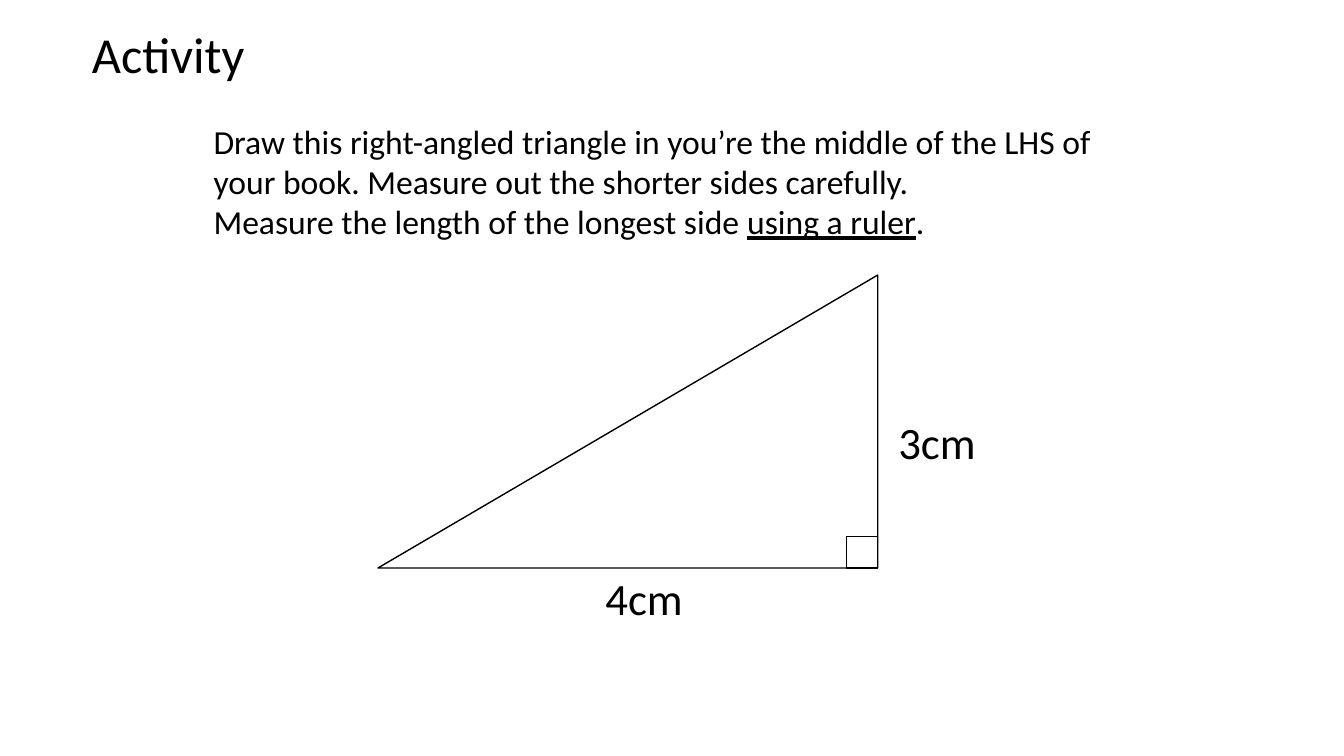
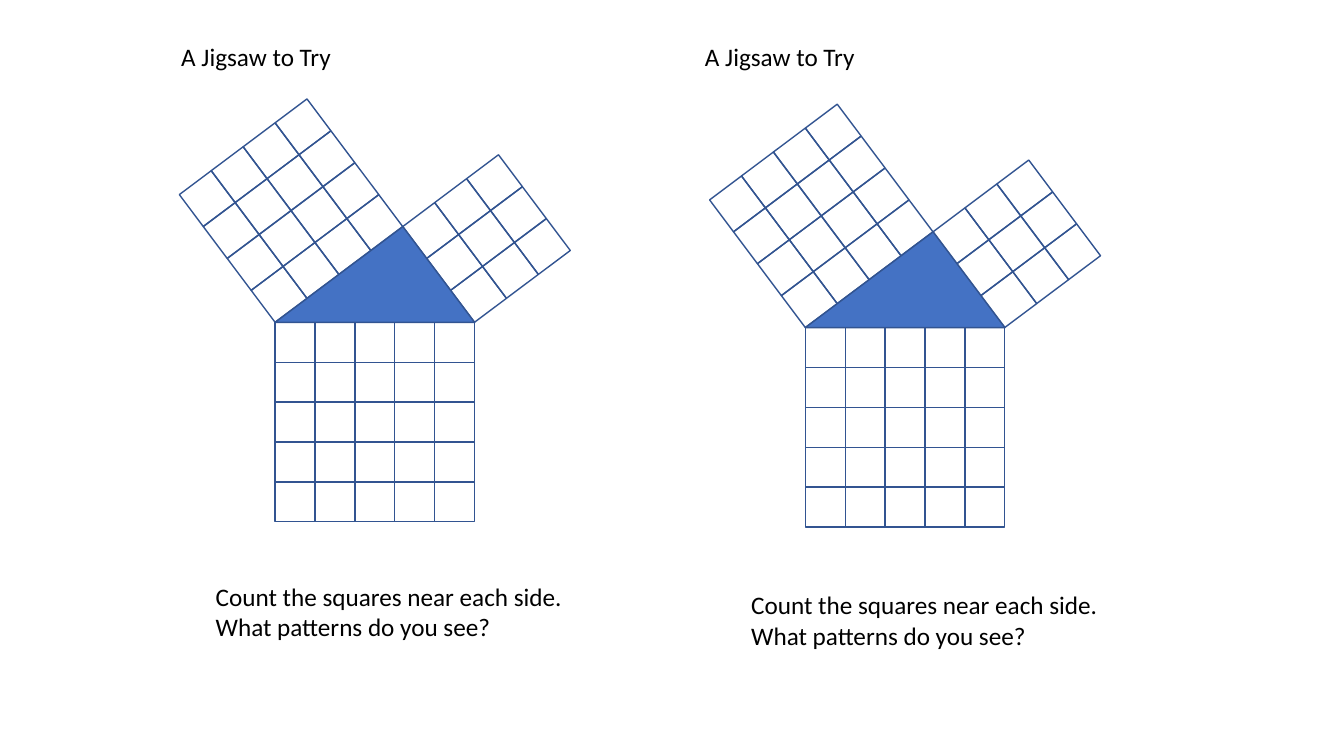
import math

import pptx
import pptx.dml.color
import pptx.enum.shapes
import pptx.enum.text
import pptx.util

PX = 9525
COLORS = {"ink": "000000", "paper": "FFFFFF", "edge": "325491", "blue": "4472C4"}
FONT = "Calibri"
SHAPE = pptx.enum.shapes.MSO_SHAPE
ALIGN = pptx.enum.text.PP_ALIGN


def write(box, place, lines, size, wrap=False, align=ALIGN.LEFT):
    """Place a text box or title and fill it, one paragraph a line."""
    box.left, box.top, box.width, box.height = [n * PX for n in place]
    frame = box.text_frame
    frame.auto_size = pptx.enum.text.MSO_AUTO_SIZE.NONE
    frame.vertical_anchor = pptx.enum.text.MSO_ANCHOR.TOP
    frame.word_wrap = wrap
    frame.text = "\n".join(lines)
    for para in frame.paragraphs:
        para.alignment = align
        para.font.name = FONT
        para.font.size = pptx.util.Pt(size)
        para.font.color.rgb = pptx.dml.color.RGBColor.from_string(COLORS["ink"])
    return frame


def draw(shapes, kind, place, line, fill=None, turn=0):
    """Add an outlined shape, left unfilled when no fill is named."""
    shape = shapes.add_shape(kind, *[round(n * PX) for n in place])
    shape.shadow.inherit = False
    shape.rotation = turn
    shape.line.width = pptx.util.Pt(1)
    shape.line.color.rgb = pptx.dml.color.RGBColor.from_string(COLORS[line])
    if fill:
        shape.fill.solid()
        shape.fill.fore_color.rgb = pptx.dml.color.RGBColor.from_string(COLORS[fill])
    else:
        shape.fill.background()
    return shape


deck = pptx.Presentation()
deck.slide_width, deck.slide_height = 1280 * PX, 720 * PX
layout = deck.slide_layouts[5]

# Slide 1: right-angled triangle to draw and measure
slide = deck.slides.add_slide(layout)
shapes = slide.shapes
write(shapes.title, (78, 17, 166, 68), ["Activity"], 36)
task = write(shapes.add_textbox(0, 0, 0, 0), (194, 110, 873, 126), [
    "Draw this right-angled triangle in you’re the middle of the LHS of your book. "
    "Measure out the shorter sides carefully.",
    "Measure the length of the longest side ",
], 24, wrap=True)
tail = task.paragraphs[-1]
ruler = tail.add_run()
ruler.text = "using a ruler"
ruler.font.underline = True
tail.add_run().text = "."

for label, x, y in [("4cm", 557, 539), ("3cm", 836, 390)]:
    write(shapes.add_textbox(0, 0, 0, 0), (x, y, 113, 61), [label], 32,
          wrap=True, align=ALIGN.CENTER)

left, top, width, height = 360, 262, 476, 279
mark = 30
group = shapes.add_group_shape().shapes
wedge = draw(group, SHAPE.RIGHT_TRIANGLE, (left, top, width, height), "ink", "paper")
wedge._element.spPr.xfrm.set("flipH", "1")
draw(group, SHAPE.RECTANGLE,
     (left + width - mark, top + height - mark, mark, mark), "ink", "paper")

# Slide 2: two jigsaws, each a 3-4-5 triangle with a grid of squares on every side
slide = deck.slides.add_slide(layout)
shapes = slide.shapes
CELL = 38
TILT = math.atan2(3, 4)
cos, sin = math.cos(TILT), math.sin(TILT)

jigsaws = [
    # title box, heading left, triangle's left corner, question's corner
    (shapes.title, 163, (262, 307), (196, 549)),
    (shapes.add_textbox(0, 0, 0, 0), 662, (767, 312), (706, 557)),
]
for head, edge, (x, y), (ask_x, ask_y) in jigsaws:
    write(head, (edge, 35, 163, 38), ["A Jigsaw to Try"], 18)

    group = shapes.add_group_shape().shapes
    grids = [
        # top left corner, cells a side, tilt
        (x + 4 * CELL * cos, y - 4 * CELL * sin, 3, TILT),
        (x - 4 * CELL * sin, y - 4 * CELL * cos, 4, TILT),
        (x, y, 5, 0),
    ]
    for grid_x, grid_y, count, tilt in grids:
        for row in range(count):
            for col in range(count):
                across, down = (col + 0.5) * CELL, (row + 0.5) * CELL
                mid_x = grid_x + across * math.cos(tilt) + down * math.sin(tilt)
                mid_y = grid_y - across * math.sin(tilt) + down * math.cos(tilt)
                draw(group, SHAPE.RECTANGLE,
                     (mid_x - CELL / 2, mid_y - CELL / 2, CELL, CELL),
                     "edge", turn=-math.degrees(tilt))

    # The box is centred on the middle of the longest side
    draw(group, SHAPE.RIGHT_TRIANGLE,
         (x + 0.5 * CELL, y - 1.5 * CELL, 4 * CELL, 3 * CELL),
         "edge", "blue", turn=180 - math.degrees(TILT))

    write(shapes.add_textbox(0, 0, 0, 0), (ask_x, ask_y, 353, 68),
          ["Count the squares near each side.", "What patterns do you see?"], 18)

deck.save("out.pptx")
